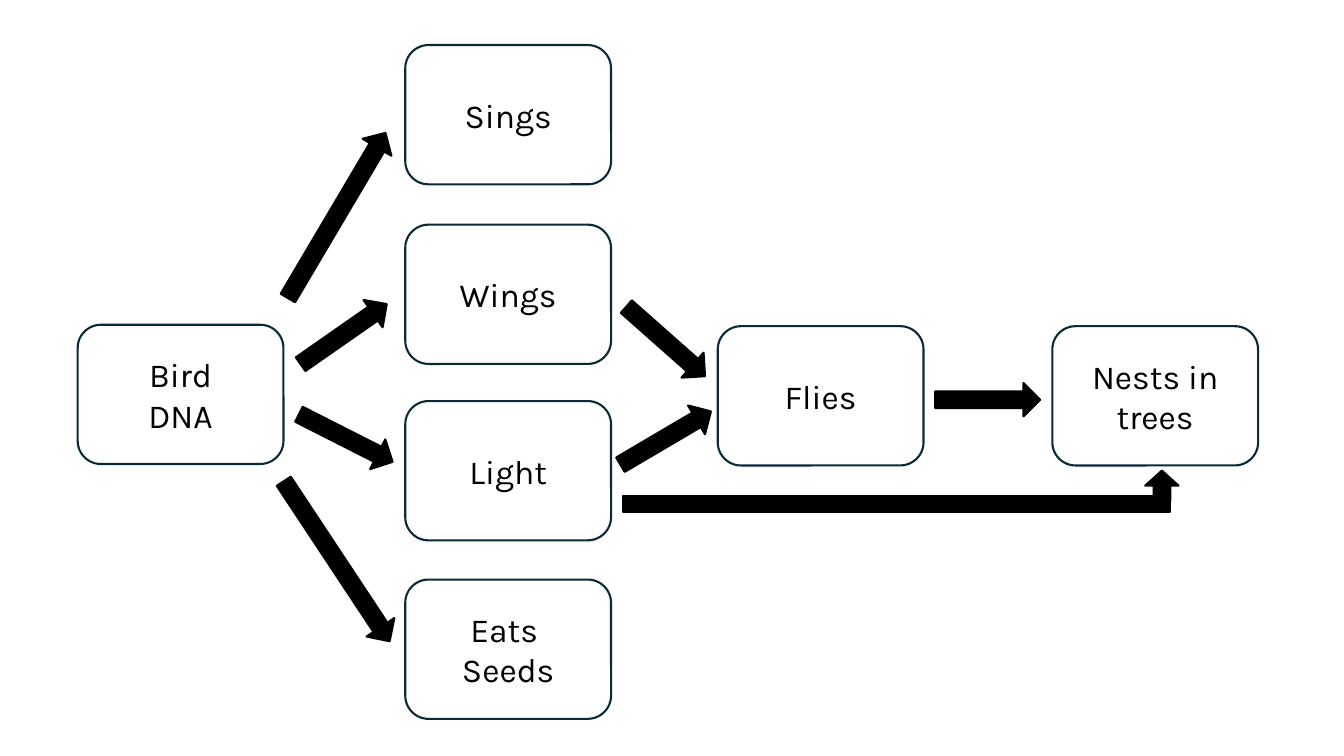
from dataclasses import dataclass

import pptx
import pptx.dml.color
import pptx.enum.shapes
import pptx.enum.text
import pptx.shapes.autoshape
import pptx.slide
import pptx.util

Pt = pptx.util.Pt
ShapeKind = pptx.enum.shapes.MSO_SHAPE

FONT = "Karla"
BLACK = "000000"
OUTLINE = "092A39"
BOX_WIDTH, BOX_HEIGHT = 147, 99.5
ARROW_HEIGHT = 23.8
SHORT, LONG = 75, 137
TRAIT_LEFT = 289.5


@dataclass
class Box:
    lines: list[str]
    left: float
    top: float


@dataclass
class Arrow:
    left: float
    top: float
    length: float
    rotation: float = 0


BOXES = [
    Box(["Bird", "DNA"], 55.5, 232),
    Box(["Sings"], TRAIT_LEFT, 32.2),
    Box(["Wings"], TRAIT_LEFT, 160.5),
    Box(["Light"], TRAIT_LEFT, 286.5),
    Box(["Eats ", "Seeds"], TRAIT_LEFT, 414),
    Box(["Flies"], 512.7, 233),
    Box(["Nests in trees"], 751.7, 233),
]

ARROWS = [
    Arrow(172, 142, LONG, 300.6),
    Arrow(208, 226.8, SHORT, 325.1),
    Arrow(209.5, 301, SHORT, 26.9),
    Arrow(172, 389, LONG, 56.5),
    Arrow(438, 232, SHORT, 41.5),
    Arrow(438, 301, SHORT, 329.5),
    Arrow(668, 273.6, SHORT),
    Arrow(819.2, 335, 21.5, 270),
]


def color(value: str) -> pptx.dml.color.RGBColor:
    return pptx.dml.color.RGBColor.from_string(value)


def add_outlined_shape(
    slide: pptx.slide.Slide, kind: ShapeKind, left: float, top: float,
    width: float, height: float, line: str,
) -> pptx.shapes.autoshape.Shape:
    shape = slide.shapes.add_shape(kind, Pt(left), Pt(top), Pt(width), Pt(height))
    shape.shadow.inherit = False
    shape.line.color.rgb = color(line)
    shape.line.width = Pt(1.5)
    return shape


def add_box(slide: pptx.slide.Slide, box: Box) -> None:
    shape = add_outlined_shape(
        slide, ShapeKind.ROUNDED_RECTANGLE, box.left, box.top,
        BOX_WIDTH, BOX_HEIGHT, OUTLINE,
    )
    shape.fill.background()
    frame = shape.text_frame
    frame.word_wrap = True
    frame.vertical_anchor = pptx.enum.text.MSO_ANCHOR.MIDDLE
    for index, line in enumerate(box.lines):
        paragraph = frame.add_paragraph() if index else frame.paragraphs[0]
        paragraph.alignment = pptx.enum.text.PP_ALIGN.CENTER
        run = paragraph.add_run()
        run.text = line
        run.font.name = FONT
        run.font.size = Pt(24)
        run.font.color.rgb = color(BLACK)


def add_black_shape(
    slide: pptx.slide.Slide, kind: ShapeKind, left: float, top: float,
    width: float, height: float, rotation: float = 0,
) -> None:
    shape = add_outlined_shape(slide, kind, left, top, width, height, BLACK)
    shape.fill.solid()
    shape.fill.fore_color.rgb = color(BLACK)
    shape.rotation = rotation


def main() -> None:
    presentation = pptx.Presentation()
    presentation.slide_width = Pt(960)
    presentation.slide_height = Pt(540)
    blank_layout = presentation.slide_layouts.get_by_name("Blank")
    slide = presentation.slides.add_slide(blank_layout)

    for box in BOXES:
        add_box(slide, box)
    for arrow in ARROWS:
        add_black_shape(
            slide, ShapeKind.RIGHT_ARROW, arrow.left, arrow.top,
            arrow.length, ARROW_HEIGHT, arrow.rotation,
        )
    # Shaft that leads from Light to the arrow below Nests in trees
    add_black_shape(slide, ShapeKind.RECTANGLE, 445, 354.2, 391, 11.5)

    presentation.save("out.pptx")


if __name__ == "__main__":
    main()
